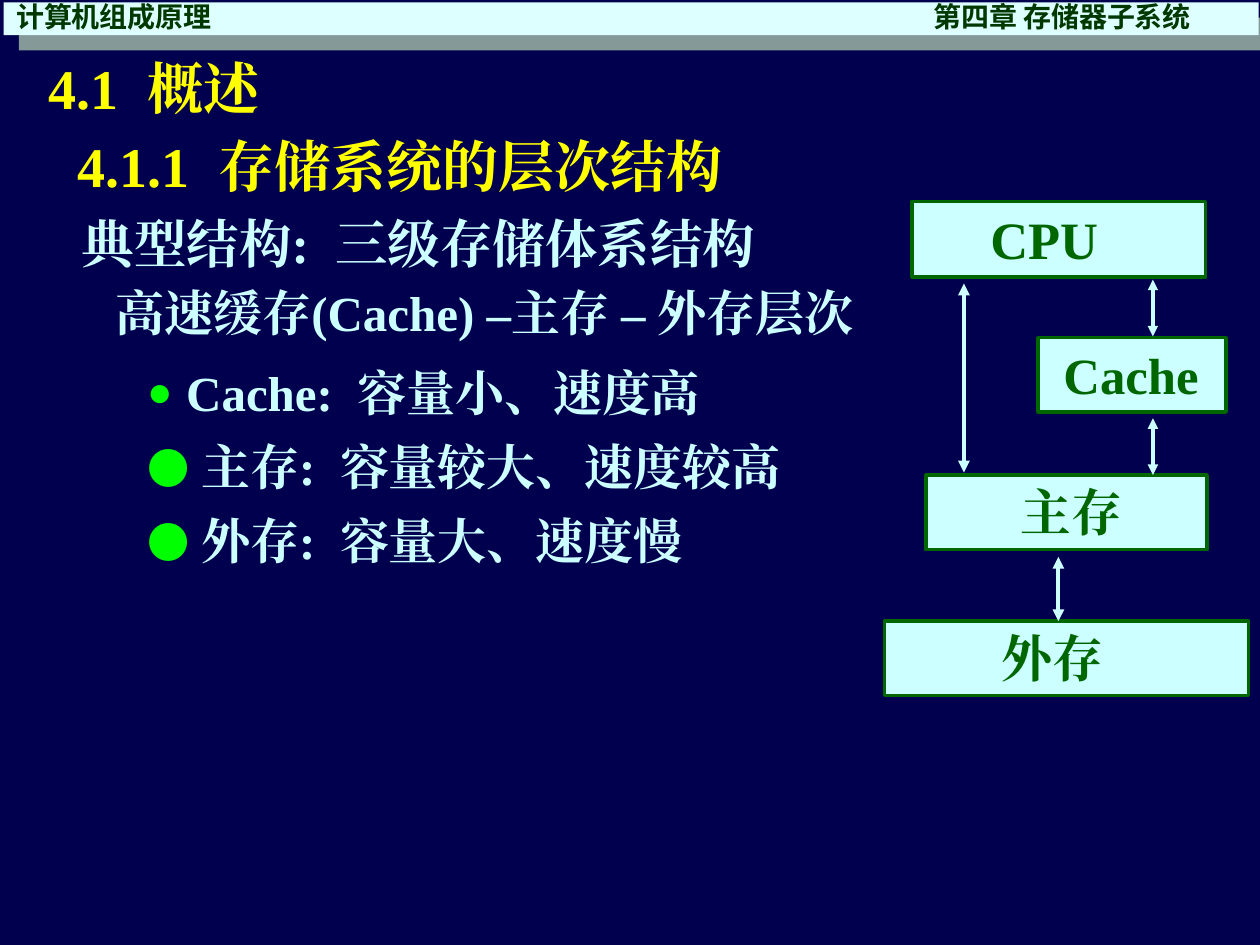
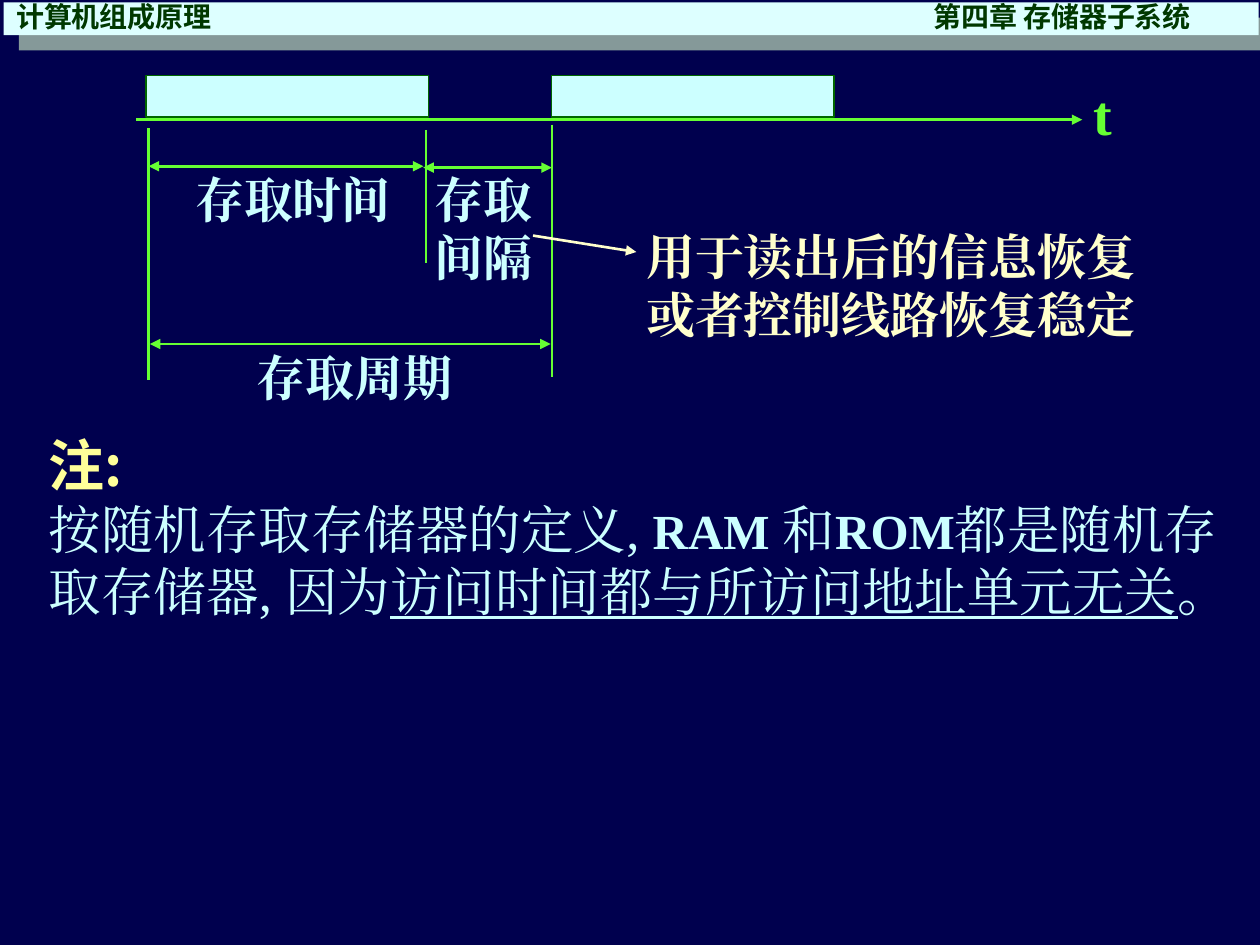
"""Build two slides on the storage hierarchy and on memory access timing."""
from lxml.etree import SubElement
from pptx import Presentation
from pptx.dml.color import RGBColor
from pptx.enum.shapes import MSO_CONNECTOR, MSO_SHAPE
from pptx.enum.text import MSO_ANCHOR, PP_ALIGN
from pptx.oxml.ns import qn
from pptx.util import Inches, Pt

NAVY, BAND, BAND_SHADOW, HEADER = "00004E", "DDFFFF", "859999", "003800"
PALE, GREEN, LIME, BULLET = "CCFFFF", "006600", "66FF33", "00FF00"
YELLOW, CREAM, NOTE = "FFFF00", "FFFFCC", "FFFF99"
SERIF, SANS, NOTE_FONT = "Times New Roman", "Noto Sans CJK JP", "Noto Sans CJK SC"
LINE_HEIGHT = 1.19


def write(box, lines, colour, font=SERIF):
    """Fill a box with paragraphs, each a list of (text, size, bold, underline) spans."""
    frame = box.text_frame
    frame.word_wrap = True
    frame.vertical_anchor = MSO_ANCHOR.TOP
    for index, spans in enumerate(lines):
        para = frame.paragraphs[0] if index == 0 else frame.add_paragraph()
        para.alignment = PP_ALIGN.LEFT
        para.line_spacing = Pt(round(max(span[1] for span in spans) * LINE_HEIGHT, 1))
        for text, size, bold, underline in spans:
            span = para.add_run()
            span.text = text
            span.font.size = Pt(size)
            span.font.bold = bold
            span.font.underline = underline
            span.font.name = font
            span.font.color.rgb = RGBColor.from_string(colour)
            SubElement(span.font._element, qn("a:ea")).set("typeface", font)


def draw_line(page, start, end, colour, width, arrows=()):
    """Draw a straight line; arrows names the ends that carry a triangle."""
    points = [Inches(value) for value in (*start, *end)]
    line = page.shapes.add_connector(MSO_CONNECTOR.STRAIGHT, *points)
    line.line.color.rgb = RGBColor.from_string(colour)
    line.line.width = Pt(width)
    for arrow in arrows:
        SubElement(line.line._get_or_add_ln(), qn(f"a:{arrow}")).set("type", "triangle")
    SubElement(line._element.spPr, qn("a:effectLst"))


HEAD, TAIL, BOTH = ("headEnd",), ("tailEnd",), ("headEnd", "tailEnd")

deck = Presentation()
deck.slide_width, deck.slide_height = Inches(10), Inches(7.5)
hierarchy, timing = [deck.slides.add_slide(deck.slide_layouts[6]) for _ in range(2)]

for page in (hierarchy, timing):
    page.background.fill.solid()
    page.background.fill.fore_color.rgb = RGBColor.from_string(NAVY)
    for left, top, width, colour in [(0.15, 0.14, 9.85, BAND_SHADOW), (0.03, 0.02, 9.96, BAND)]:
        band = page.shapes.add_shape(
            MSO_SHAPE.RECTANGLE, Inches(left), Inches(top), Inches(width), Inches(0.26))
        band.shadow.inherit = False
        band.fill.solid()
        band.fill.fore_color.rgb = RGBColor.from_string(colour)
        band.line.fill.background()
    header = page.shapes.add_textbox(Inches(0.03), Inches(-0.05), Inches(9.97), Inches(0.37))
    write(header, [[("计算机组成原理\t第四章 存储器子系统", 16, True, False)]], HEADER, SANS)
    tabs = SubElement(header.text_frame.paragraphs[0]._p.get_or_add_pPr(), qn("a:tabLst"))
    SubElement(tabs, qn("a:tab"), pos=str(Inches(7.28)), algn="l")

blocks = [
    (hierarchy, 7.24, 1.6, 2.33, 0.6, 2, "CPU", 30, 0.62),
    (hierarchy, 8.24, 2.68, 1.49, 0.59, 2, "Cache", 29, 0.2),
    (hierarchy, 7.35, 3.77, 2.23, 0.59, 2, "主存", 29, 0.75),
    (hierarchy, 7.02, 4.93, 2.89, 0.59, 2, "外存", 29, 0.93),
    (timing, 1.16, 0.6, 2.24, 0.33, 0.75, "", 0, 0.1),
    (timing, 4.38, 0.6, 2.24, 0.33, 0.75, "", 0, 0.1),
]
for page, left, top, width, height, outline, label, size, margin in blocks:
    block = page.shapes.add_shape(
        MSO_SHAPE.RECTANGLE, Inches(left), Inches(top), Inches(width), Inches(height))
    block.shadow.inherit = False
    block.fill.solid()
    block.fill.fore_color.rgb = RGBColor.from_string(PALE)
    block.line.color.rgb = RGBColor.from_string(GREEN)
    block.line.width = Pt(outline)
    if label:
        block.text_frame.margin_left = Inches(margin)
        write(block, [[(label, size, True, False)]], GREEN)

for x, top, bottom, width in [
    (7.65, 2.25, 3.75, 2.25), (9.15, 2.22, 2.67, 2), (9.15, 3.32, 3.77, 2), (8.4, 4.42, 4.93, 2.25),
]:
    draw_line(hierarchy, (x, top), (x, bottom), PALE, width, BOTH)

for start, end, colour, arrows in [
    ((1.08, 0.95), (8.59, 0.95), LIME, TAIL),
    ((1.18, 1.02), (1.18, 3.02), LIME, ()),
    ((3.38, 1.03), (3.38, 2.09), LIME, ()),
    ((4.38, 0.99), (4.38, 2.99), LIME, ()),
    ((1.18, 1.32), (3.36, 1.32), LIME, BOTH),
    ((3.36, 1.33), (4.38, 1.33), LIME, BOTH),
    ((1.19, 2.73), (4.37, 2.73), LIME, BOTH),
    ((4.23, 1.87), (5.05, 2), CREAM, TAIL),
]:
    draw_line(timing, start, end, colour, 1.5, arrows)

for page, left, top, width, height, text, size, colour in [
    (hierarchy, 0.29, 0.38, 6.14, 0.64, "4.1  概述", 32, YELLOW),
    (hierarchy, 0.52, 1, 6.08, 0.64, "4.1.1  存储系统的层次结构", 32, YELLOW),
    (timing, 1.45, 1.3, 1.85, 0.57, "存取时间", 28, PALE),
    (timing, 1.94, 2.71, 1.85, 0.57, "存取周期", 28, PALE),
    (timing, 3.35, 1.3, 1.18, 1.04, "存取间隔", 28, PALE),
    (timing, 8.58, 0.59, 0.67, 0.64, "t", 32, LIME),
    (timing, 5.03, 1.75, 4.16, 1.04, "用于读出后的信息恢复或者控制线路恢复稳定", 28, CREAM),
]:
    box = page.shapes.add_textbox(Inches(left), Inches(top), Inches(width), Inches(height))
    write(box, [[(text, size, True, False)]], colour)

structure = hierarchy.shapes.add_textbox(Inches(0.55), Inches(1.63), Inches(7.37), Inches(1.14))
write(structure, [
    [("典型结构:  三级存储体系结构", 30, True, False)],
    [("高速缓存(Cache) –主存 – 外存层次", 28, True, False)],
], PALE)
levels = structure.text_frame.paragraphs[1]
levels.space_before = Pt(5.2)
levels._p.get_or_add_pPr().set("marL", str(Inches(0.27)))

features = hierarchy.shapes.add_textbox(Inches(1.07), Inches(2.83), Inches(5.63), Inches(1.8))
write(features, [
    [(text, 28, True, False)]
    for text in ("Cache:  容量小、速度高", "主存:  容量较大、速度较高", "外存:  容量大、速度慢")
], PALE)
bullets = [("Arial", 0.31), (SANS, 0.43), (SANS, 0.43)]
for index, (para, (font, indent)) in enumerate(zip(features.text_frame.paragraphs, bullets)):
    para.space_before = Pt(9.2 if index else 0)
    properties = para._p.get_or_add_pPr()
    properties.set("marL", str(Inches(indent)))
    properties.set("indent", str(-Inches(indent)))
    SubElement(SubElement(properties, qn("a:buClr")), qn("a:srgbClr")).set("val", BULLET)
    SubElement(properties, qn("a:buSzPct")).set("val", "86000")
    SubElement(properties, qn("a:buFont")).set("typeface", font)
    SubElement(properties, qn("a:buChar")).set("char", "●")

note = timing.shapes.add_textbox(Inches(0.29), Inches(3.37), Inches(9.63), Inches(2.14))
write(note, [
    [("注:", 32, True, False)],
    [
        ("按随机存取存储器的定义, ", 30, False, False),
        ("RAM", 28, True, False),
        (" ", 30, True, False),
        ("和", 30, False, False),
        ("ROM", 28, True, False),
        ("都是随机存取存储器, 因为", 30, False, False),
        ("访问时间都与所访问地址单元无关", 30, False, True),
        ("。", 30, False, False),
    ],
], PALE)
heading = note.text_frame.paragraphs[0].runs[0]
heading.font.name = NOTE_FONT
heading.font.color.rgb = RGBColor.from_string(NOTE)
heading.font._element.find(qn("a:ea")).set("typeface", NOTE_FONT)

deck.save("out.pptx")
